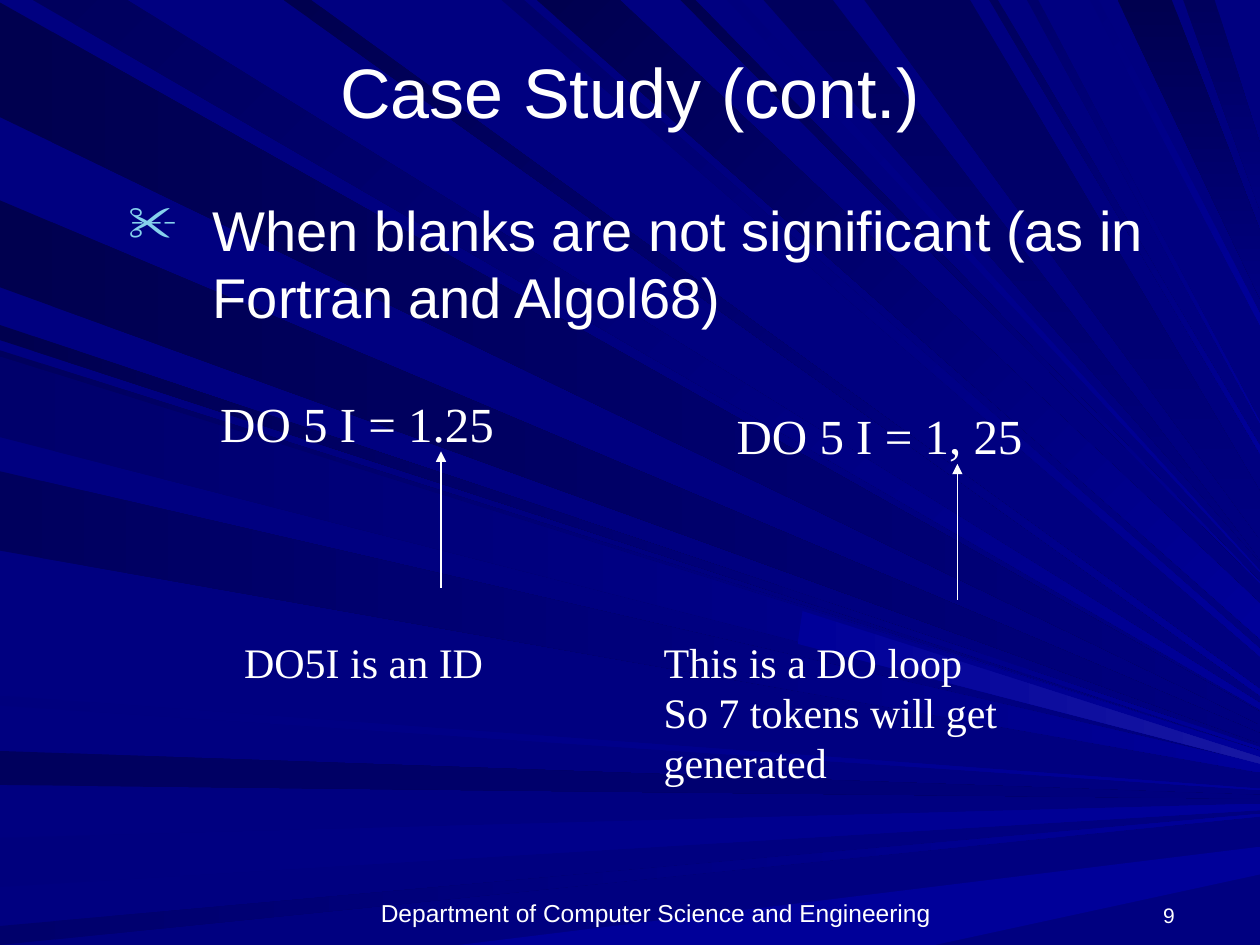
import pptx
import pptx.dml.color
import pptx.enum.shapes
import pptx.enum.text
import pptx.oxml
import pptx.oxml.ns
import pptx.util
from lxml import etree

Cm = pptx.util.Cm
qn = pptx.oxml.ns.qn
Align = pptx.enum.text.PP_ALIGN
Anchor = pptx.enum.text.MSO_ANCHOR

WHITE, NAVY, BLUE, GLINT = "FFFFFF", "000080", "000099", "1717A2"
DEEP, DARK, DIM, SOFT = "00004F", "00005D", "00006B", "00007D"
SERIF = "Times New Roman"

# Rays lie on a grid of 1000 by 750 units
RAY_UNIT = Cm(0.0254)
RIGHT, BOTTOM = 1000, 750
FOCUS_X, FOCUS_Y = 1124, 635

# Rays from the left edge to the focus: top, bottom, first and last colour
LEFT_RAYS = [
    (2, 93, DEEP, NAVY),
    (596, 623, DARK, NAVY),
    (665, 704, SOFT, BLUE),
    (735, 750, DIM, BLUE),
    (258, 270, DEEP, BLUE),
    (159, 228, DEEP, NAVY),
    (278, 342, DARK, BLUE),
    (374, 437, DARK, BLUE),
    (552, 560, SOFT, BLUE),
    (283, 347, DIM, BLUE),
]

# Rays from the top edge: left, right, lower and upper end, colours
TOP_RAYS = [
    (26, 101, 563, 558, DARK, BLUE),
    (398, 416, 521, 515, DIM, BLUE),
    (426, 492, 507, 479, DEEP, BLUE),
    (540, 552, 463, 462, DEEP, BLUE),
    (606, 661, 446, 445, DARK, NAVY),
    (887, 930, 237, 183, DEEP, NAVY),
    (939, 964, 167, 114, DARK, NAVY),
    (225, 247, 552, 547, DEEP, BLUE),
    (577, 588, 454, 453, SOFT, BLUE),
    (686, 770, 428, 390, DARK, NAVY),
    (785, 792, 360, 354, DARK, BLUE),
    (815, 824, 336, 335, DIM, BLUE),
    (865, 872, 258, 249, SOFT, BLUE),
]


def color(hex_code):
    return pptx.dml.color.RGBColor.from_string(hex_code)


def add_ray(slide, corners, first, last, angle=0):
    outline = slide.shapes.build_freeform(*corners[0], scale=RAY_UNIT)
    outline.add_line_segments(corners[1:], close=True)
    ray = outline.convert_to_shape()
    ray.shadow.inherit = False
    ray.line.fill.background()
    ray.fill.gradient()
    ray.fill.gradient_angle = (360 - angle) % 360
    for stop, shade in zip(ray.fill.gradient_stops, (first, last)):
        stop.color.rgb = color(shade)


def height_toward_focus(start, x):
    return round(start + (FOCUS_Y - start) * x / FOCUS_X)


def add_background(slide):
    slide.background.fill.solid()
    slide.background.fill.fore_color.rgb = color(NAVY)
    # Broad beam at the bottom
    add_ray(slide, [(364, BOTTOM), (742, BOTTOM), (RIGHT, 694), (RIGHT, 672)], BLUE, BLUE)
    for top, bottom, first, last in LEFT_RAYS:
        ends = [(RIGHT, height_toward_focus(y, RIGHT)) for y in (bottom, top)]
        add_ray(slide, [(0, top), (0, bottom), *ends], first, last)
    for left, right, lower, upper, first, last in TOP_RAYS:
        add_ray(slide, [(left, 0), (RIGHT, lower), (RIGHT, upper), (right, 0)],
                first, last, 90 if last == NAVY else 45)
    # Bright tip of the last left ray
    add_ray(slide, [(637, 485), (RIGHT, 601), (RIGHT, 606), (633, 511)], BLUE, GLINT)


def add_bullet(paragraph, char, hex_code, percent, indent):
    props = paragraph._p.get_or_add_pPr()
    props.set("marL", str(indent))
    props.set("indent", str(-indent))
    tint = etree.SubElement(props, qn("a:buClr"))
    etree.SubElement(tint, qn("a:srgbClr"), val=hex_code)
    etree.SubElement(props, qn("a:buSzPct"), val=str(percent * 1000))
    etree.SubElement(props, qn("a:buChar"), char=char)


def add_text(slide, box, lines, size, font="Arial", align=Align.LEFT,
             anchor=Anchor.TOP, wrap=True, bullet=None):
    frame = slide.shapes.add_textbox(*map(Cm, box)).text_frame
    frame.word_wrap = wrap
    frame.vertical_anchor = anchor
    if not wrap:
        frame.auto_size = pptx.enum.text.MSO_AUTO_SIZE.SHAPE_TO_FIT_TEXT
    frame.text = "\n".join(lines)
    for paragraph in frame.paragraphs:
        paragraph.alignment = align
        if bullet:
            add_bullet(paragraph, *bullet)
        paragraph.font.name = font
        paragraph.font.size = pptx.util.Pt(size)
        paragraph.font.color.rgb = color(WHITE)


def add_up_arrow(slide, x, top, bottom):
    arrow = slide.shapes.add_connector(
        pptx.enum.shapes.MSO_CONNECTOR.STRAIGHT, Cm(x), Cm(top), Cm(x), Cm(bottom))
    arrow.line.color.rgb = color(WHITE)
    arrow.line.width = pptx.util.Pt(1)
    etree.SubElement(arrow.line._get_or_add_ln(), qn("a:headEnd"), type="triangle")
    etree.SubElement(arrow._element.spPr, qn("a:effectLst"))


def add_example(slide, code, left, top, width, meaning, meaning_left, meaning_width):
    add_text(slide, (left, top, width, 1.45), [code], 28, SERIF, wrap=False)
    add_up_arrow(slide, left + 4.7, top + 1.3, top + 4.05)
    add_text(slide, (meaning_left, 12.7, meaning_width, 1.2 * len(meaning)),
             meaning, 24, SERIF, wrap=False)


def main():
    deck = pptx.Presentation()
    deck.slide_width, deck.slide_height = Cm(25.4), Cm(19.05)
    slide = deck.slides.add_slide(deck.slide_layouts[6])
    add_background(slide)

    # Footer and page number
    add_text(slide, (4.65, 17.98, 17.15, 0.84),
             ["Department of Computer Science and Engineering"], 14,
             align=Align.CENTER, anchor=Anchor.BOTTOM)
    add_text(slide, (22.23, 17.98, 1.7, 0.84), ["9"], 12,
             align=Align.RIGHT, anchor=Anchor.BOTTOM)

    # Title and statement
    add_text(slide, (1.27, 0.76, 22.86, 2.11), ["Case Study (cont.)"], 40,
             align=Align.CENTER, anchor=Anchor.MIDDLE)
    add_text(slide, (2.34, 3.81, 21.59, 13.97),
             ["When blanks are not significant (as in Fortran and Algol68)"], 32,
             bullet=("✂", "86D1EC", 90, Cm(1.7)))

    # The two readings of a DO statement
    add_example(slide, "DO 5 I = 1.25", 4.19, 7.8, 6.02,
                ["DO5I is an ID"], 4.67, 5.33)
    add_example(slide, "DO 5 I = 1, 25", 14.6, 8.05, 6.27,
                ["This is a DO loop", "So 7 tokens will get generated"], 13.13, 10.72)

    deck.save("out.pptx")


if __name__ == "__main__":
    main()
